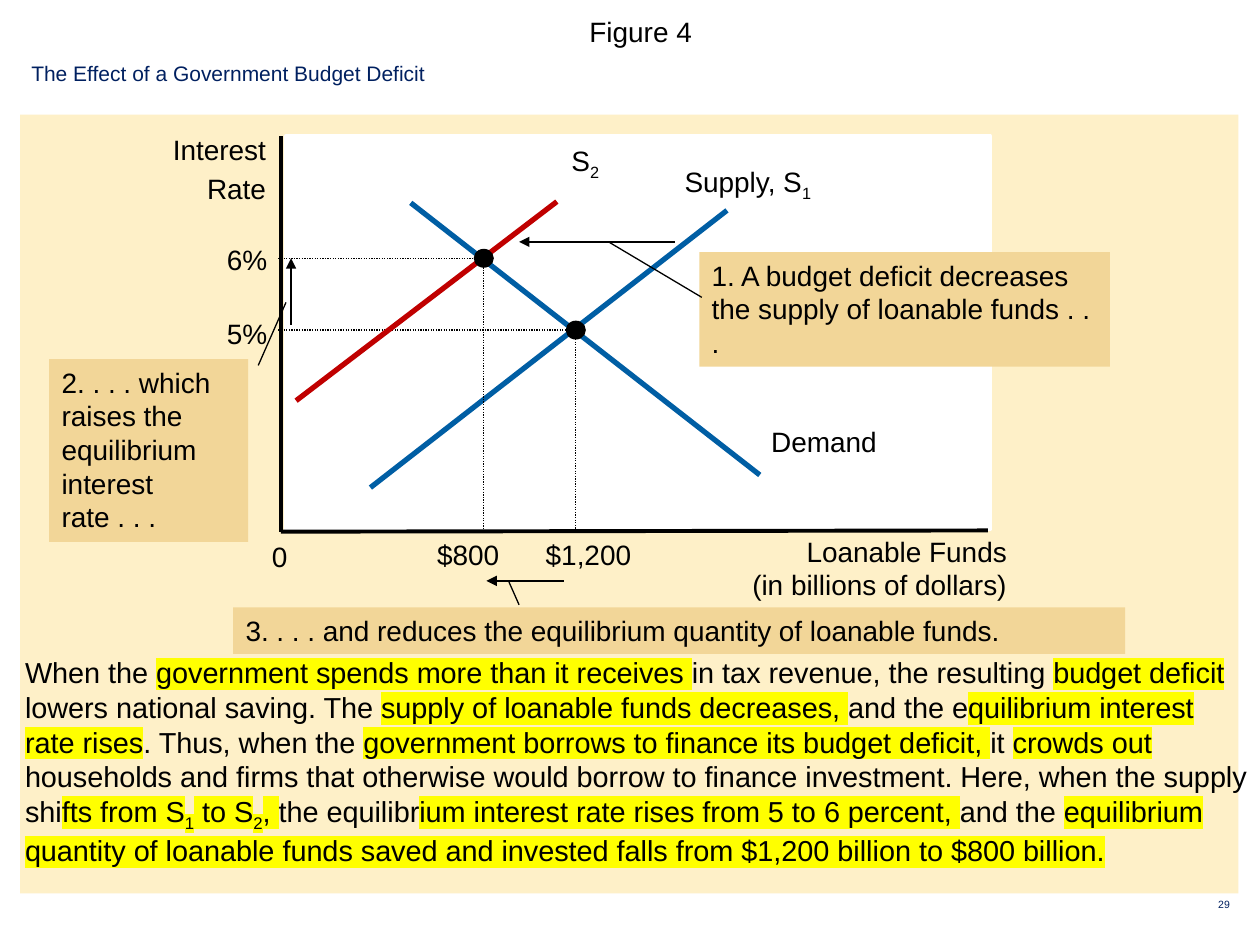
import pptx
import pptx.dml.color
import pptx.enum.dml
import pptx.enum.shapes
import pptx.enum.text
import pptx.oxml
import pptx.oxml.ns
import pptx.util

Inches = pptx.util.Inches
Pt = pptx.util.Pt
ALIGN = pptx.enum.text.PP_ALIGN
SHAPE = pptx.enum.shapes.MSO_SHAPE
COLORS = {
    "ink": "000000", "navy": "002060", "panel": "FEF0C8", "note": "F2D698",
    "plot": "FFFFFF", "curve": "005EA4", "shifted": "C00000", "marker": "FFFF00",
}
MARK = {"highlight": "marker"}
SUB = {"baseline": -25}


def rgb(name):
    return pptx.dml.color.RGBColor.from_string(COLORS[name])


def new_element(tag, attributes=""):
    return pptx.oxml.parse_xml(f"<{tag} {pptx.oxml.ns.nsdecls('a')} {attributes}/>")


def write_span(para, text, size=16, color="ink", highlight=None, baseline=None):
    span = para.add_run()
    span.text = text
    span.font.name = "Arial"
    span.font.size = Pt(size)
    span.font.color.rgb = rgb(color)
    properties = span.font._element
    if baseline:
        properties.set("baseline", str(baseline * 1000))
    if highlight:
        mark = new_element("a:highlight")
        mark.append(new_element("a:srgbClr", f'val="{COLORS[highlight]}"'))
        properties.find(pptx.oxml.ns.qn("a:solidFill")).addnext(mark)


class SlideBuilder:
    """Holds the shared style and the slide being drawn."""

    def __init__(self, slide):
        self.shapes = slide.shapes

    def fill_text(self, frame, paras, align=ALIGN.LEFT, before=0, wrap=True, grow=True, **style):
        """Each paragraph is a string or a list of (text, extra format) pairs."""
        frame.word_wrap = wrap
        sizing = pptx.enum.text.MSO_AUTO_SIZE
        frame.auto_size = sizing.SHAPE_TO_FIT_TEXT if grow else sizing.NONE
        for index, content in enumerate(paras):
            para = frame.add_paragraph() if index else frame.paragraphs[0]
            para.alignment = align
            para.space_before = Pt(before)
            for text, extra in [(content, {})] if isinstance(content, str) else content:
                write_span(para, text, **{**style, **extra})

    def text(self, left, top, width, height, *paras, middle=False, **style):
        box = self.shapes.add_textbox(*map(Inches, (left, top, width, height)))
        if middle:
            box.text_frame.vertical_anchor = pptx.enum.text.MSO_ANCHOR.MIDDLE
        self.fill_text(box.text_frame, paras, **style)

    def label(self, left, top, width, *paras, height=0.37, align=ALIGN.CENTER, before=3.2):
        self.text(left, top, width, height, *paras, align=align, before=before, wrap=False)

    def shape(self, kind, left, top, width, height, fill, outline=0):
        shape = self.shapes.add_shape(kind, *map(Inches, (left, top, width, height)))
        shape.shadow.inherit = False
        shape.fill.solid()
        shape.fill.fore_color.rgb = rgb(fill)
        if outline:
            shape.line.color.rgb = rgb(fill)
            shape.line.width = Pt(outline)
        else:
            shape.line.fill.background()
        return shape

    def note(self, left, top, width, height, *paras):
        box = self.shape(SHAPE.RECTANGLE, left, top, width, height, "note")
        box.text_frame.vertical_anchor = pptx.enum.text.MSO_ANCHOR.TOP
        self.fill_text(box.text_frame, paras)

    def point(self, x, y):
        self.shape(SHAPE.OVAL, x - 0.08, y - 0.075, 0.16, 0.15, "ink")

    def line(self, x1, y1, x2, y2, width=0.75, color="ink", dotted=False, arrow=False):
        """An arrowhead, if any, sits at the first end."""
        line = self.shapes.add_connector(
            pptx.enum.shapes.MSO_CONNECTOR.STRAIGHT, *map(Inches, (x1, y1, x2, y2)))
        line.line.color.rgb = rgb(color)
        line.line.width = Pt(width)
        if dotted:
            line.line.dash_style = pptx.enum.dml.MSO_LINE.ROUND_DOT
        if arrow:
            line.line._get_or_add_ln().append(new_element("a:headEnd", 'type="triangle"'))
        line._element.spPr.append(new_element("a:effectLst"))


EXPLANATION = [
    ("When the ", {}),
    ("government spends more than it receives ", MARK),
    ("in tax revenue, the resulting ", {}),
    ("budget deficit ", MARK),
    ("lowers national saving. The ", {}),
    ("supply of loanable funds decreases, ", MARK),
    ("and the e", {}),
    ("quilibrium interest rate rises", MARK),
    (". Thus, when the ", {}),
    ("government borrows to finance its budget deficit, ", MARK),
    ("it ", {}),
    ("crowds out", MARK),
    (" households and firms that otherwise would borrow to finance investment. "
     "Here, when the supply shi", {}),
    ("fts from S", MARK),
    ("1", {**MARK, **SUB}),
    (" to S", MARK),
    ("2", {**MARK, **SUB}),
    (", ", MARK),
    ("the equilibr", {}),
    ("ium interest rate rises from 5 to 6 percent, ", MARK),
    ("and the ", {}),
    ("equilibrium quantity of loanable funds saved and invested falls "
     "from $1,200 billion to $800 billion.", MARK),
]


def main():
    deck = pptx.Presentation()
    deck.slide_width, deck.slide_height = Inches(10), Inches(7.5)
    page = SlideBuilder(deck.slides.add_slide(deck.slide_layouts[6]))

    page.shape(SHAPE.RECTANGLE, 0.16, 0.91, 9.67, 6.18, "panel")
    page.text(0.35, 0, 9.47, 0.49, "Figure 4", align=ALIGN.CENTER, middle=True, grow=False)
    page.text(9.43, 7.08, 0.57, 0.41, "29", align=ALIGN.CENTER, grow=False, size=6, color="navy")
    page.text(0.15, 0.43, 9.79, 0.3, "The Effect of a Government Budget Deficit",
              before=2.4, size=12, color="navy")

    # Axes
    page.line(2.23, 1.08, 2.23, 4.22, 2.25)
    page.shape(SHAPE.RECTANGLE, 2.27, 1.08, 5.59, 3.12, "plot", outline=2)
    page.label(1.27, 1, 0.94, "Interest", "Rate", height=0.69, align=ALIGN.RIGHT)
    page.line(2.23, 4.22, 7.84, 4.21, 2.25)
    page.label(5.86, 4.19, 2.23, "Loanable Funds", "(in billions of dollars)",
               height=0.64, align=ALIGN.RIGHT, before=0)
    page.label(2.06, 4.23, 0.32, "0")

    # Supply and demand with the first equilibrium
    page.line(2.94, 3.87, 5.77, 1.67, 3, "curve")
    page.label(5.33, 1.26, 1.21, [("Supply, S", {}), ("1", SUB)])
    page.line(3.26, 1.61, 6.03, 3.77, 3, "curve")
    page.label(6.02, 3.32, 1.04, "Demand")
    page.line(2.21, 2.62, 4.59, 2.62, dotted=True)
    page.label(1.7, 2.46, 0.52, "5%")
    page.label(4.23, 4.22, 0.88, "$1,200")
    page.line(4.57, 2.67, 4.57, 4.21, dotted=True)
    page.point(4.57, 2.62)
    page.text(0.1, 5.15, 9.91, 1.77, EXPLANATION, size=16.5)

    # Shifted supply with the second equilibrium
    page.line(2.35, 3.18, 4.42, 1.6, 3, "shifted")
    page.label(4.43, 1.09, 0.43, [("S", {}), ("2", SUB)])
    page.point(3.84, 2.05)
    page.line(2.21, 2.05, 3.83, 2.05, dotted=True)
    page.label(1.7, 1.88, 0.52, "6%")
    page.label(3.37, 4.22, 0.69, "$800")
    page.line(3.84, 2.04, 3.84, 4.2, dotted=True)

    # Numbered notes, each with its arrow and leader
    page.line(4.12, 1.92, 5.36, 1.92, 1.5, arrow=True)
    page.note(5.55, 2, 3.26, 0.91,
              "1. A budget deficit decreases the supply of loanable funds . . .")
    page.line(4.83, 1.92, 5.57, 2.36)
    page.line(3.86, 4.61, 4.48, 4.61, 1.5, arrow=True)
    page.note(1.85, 4.82, 7.08, 0.37,
              "3. . . . and reduces the equilibrium quantity of loanable funds.")
    page.line(4.04, 4.62, 4.12, 4.8)
    page.line(2.31, 2.05, 2.31, 2.58, 1.5, arrow=True)
    page.note(0.39, 2.85, 1.58, 1.45,
              "2. . . . which", "raises the", "equilibrium", "interest rate . . .")
    page.line(2.27, 2.4, 2.05, 2.9)

    deck.save("out.pptx")


if __name__ == "__main__":
    main()
